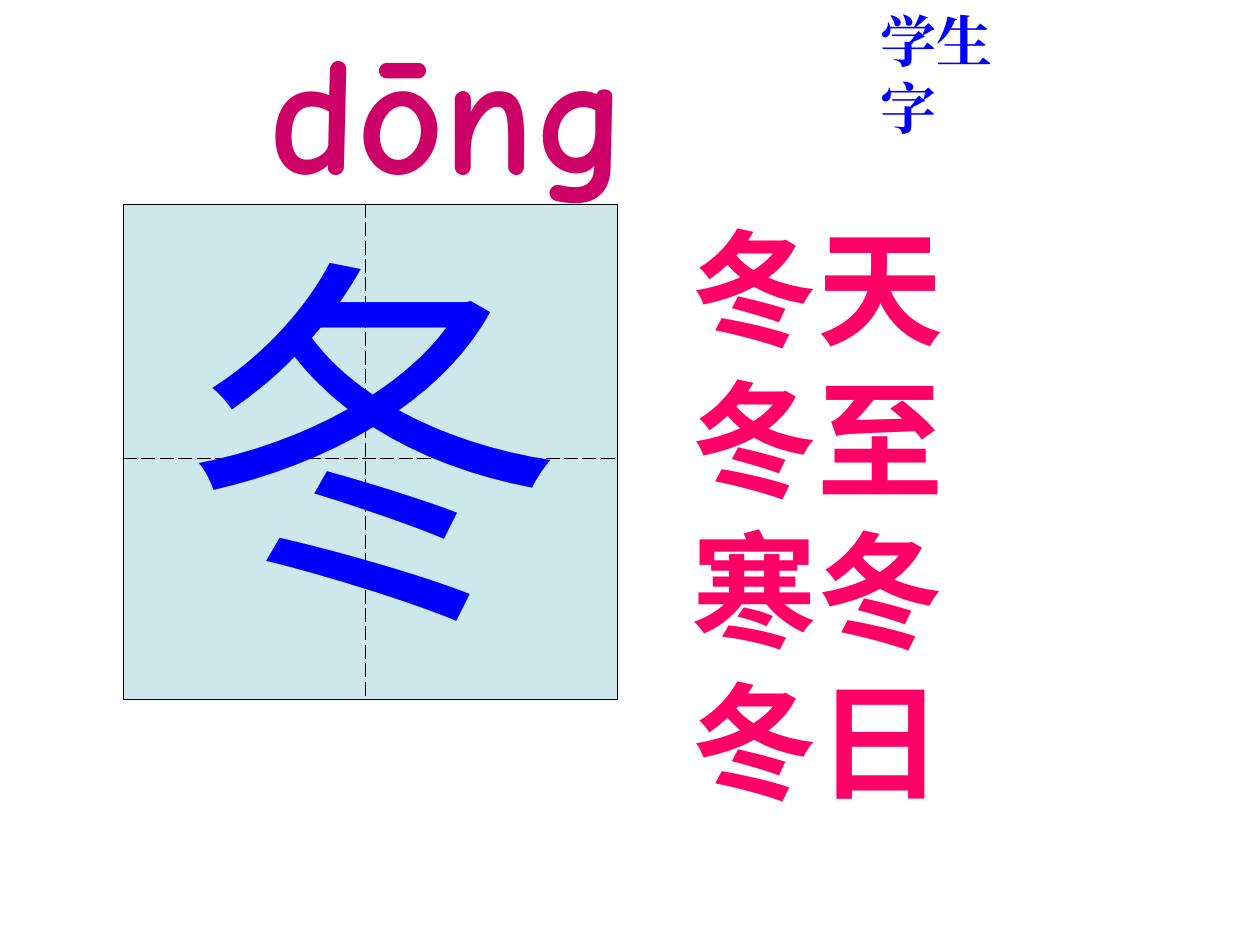
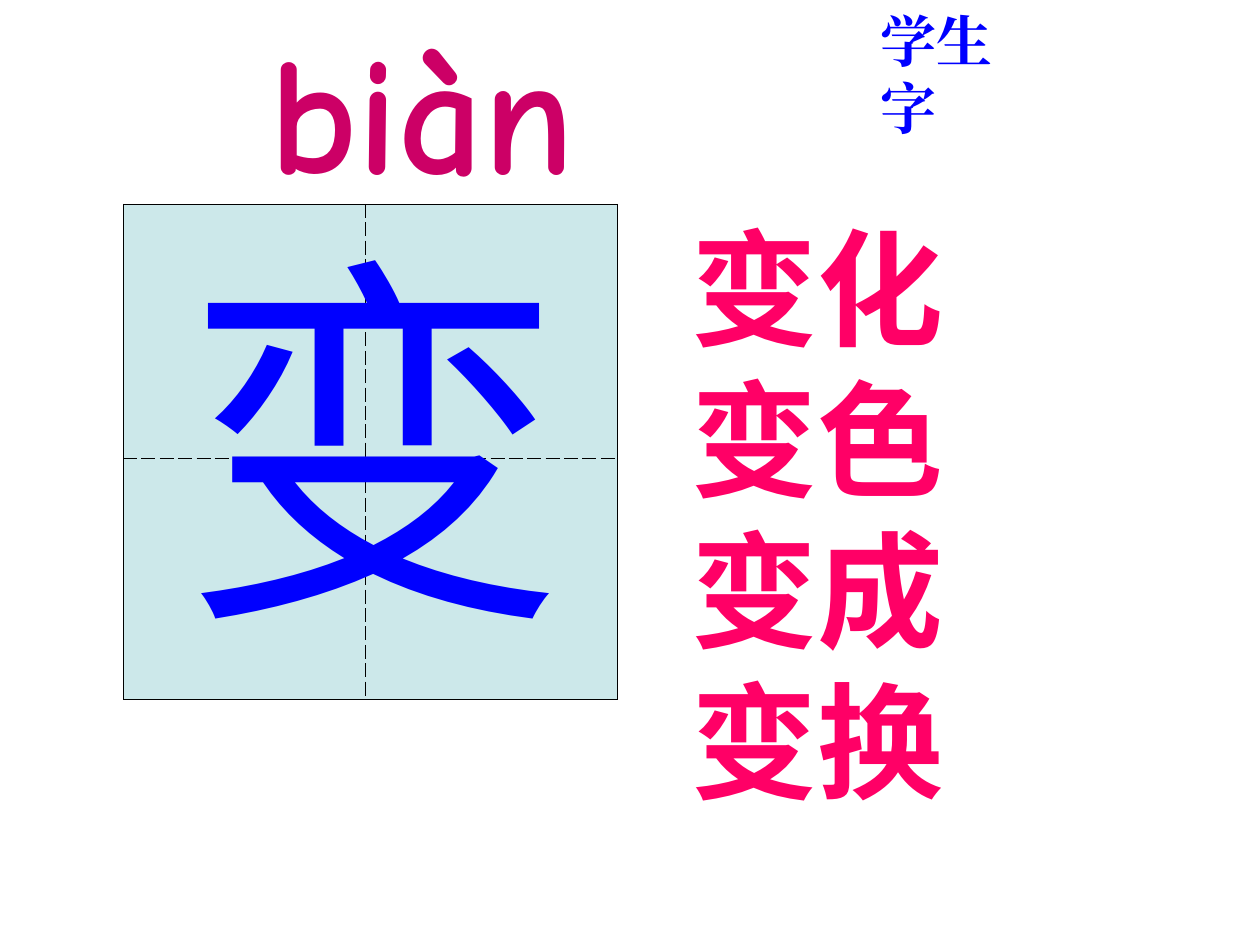
from itertools import product
from lxml.etree import SubElement
from pptx import Presentation
from pptx.dml.color import RGBColor
from pptx.enum.text import MSO_AUTO_SIZE
from pptx.oxml import parse_xml
from pptx.oxml.ns import nsdecls, qn
from pptx.util import Inches, Pt

HEAD = "学生字"
CARDS = [
    ("dōng", "冬", ["冬天", "冬至", "寒冬", "冬日"]),
    ("biàn", "变", ["变化", "变色", "变成", "变换"]),
]
HUES = {"ink": "0000FF", "sound": "CC0066", "word": "FF0066",
        "pane": "CCE8EA", "rule": "000000"}
SIZE = (10, 7.5)
GRID = {"left": 0.98, "top": 1.62, "cols": (1.92, 2), "rows": (2.02, 1.91)}
BOXES = {
    "sound": ((2.04, 0, 3.75, 1.7), True, "sound",
              {"size": Pt(96), "name": "Comic Neue", "bold": True}),
    "glyph": ((1.34, 1.56, 3.25, 3.77), False, "ink",
              {"size": Pt(220), "name": "Arial"}),
    "words": ((5.39, 1.62, 4.25, 4.9), True, "word",
              {"size": Pt(72), "name": "Arial", "bold": True}),
    "head": ((6.89, 0, 1.53, 0.64), False, "ink",
             {"size": Pt(32), "name": "Times New Roman", "bold": True}),
}


def hue(key):
    """Return a named colour."""
    return RGBColor.from_string(HUES[key])


def edge(side, dash):
    """Return one cell border, dashed when it lies inside the grid."""
    return parse_xml(
        f'<a:{side} {nsdecls("a")} w="{Pt(0.45)}"><a:solidFill>'
        f'<a:srgbClr val="{HUES["rule"]}"/></a:solidFill>'
        f'<a:prstDash val="{"dash" if dash else "solid"}"/></a:{side}>')


def add_grid(slide):
    """Draw the four-pane writing square."""
    cols, rows = GRID["cols"], GRID["rows"]
    spot = (GRID["left"], GRID["top"], sum(cols), sum(rows))
    table = slide.shapes.add_table(
        len(rows), len(cols), *map(Inches, spot)).table
    table.first_row = table.horz_banding = False
    for col, wide in zip(table.columns, cols):
        col.width = Inches(wide)
    for row, high in zip(table.rows, rows):
        row.height = Inches(high)
    for r, c in product(range(len(rows)), range(len(cols))):
        cell = table.cell(r, c)
        cell.fill.solid()
        cell.fill.fore_color.rgb = hue("pane")
        sides = {"lnL": c > 0, "lnR": c < len(cols) - 1,
                 "lnT": r > 0, "lnB": r < len(rows) - 1}
        props = cell._tc.get_or_add_tcPr()
        for i, (side, dash) in enumerate(sides.items()):
            props.insert(i, edge(side, dash))


def add_text(slide, kind, lines):
    """Add a text box with one paragraph a line."""
    spot, wrap, tint, form = BOXES[kind]
    frame = slide.shapes.add_textbox(*map(Inches, spot)).text_frame
    frame.word_wrap = wrap
    frame.auto_size = MSO_AUTO_SIZE.SHAPE_TO_FIT_TEXT
    frame.text = "\n".join(lines)
    for para in frame.paragraphs:
        run = para.runs[0]
        for key, val in form.items():
            setattr(run.font, key, val)
        run.font.color.rgb = hue(tint)
        SubElement(run._r.get_or_add_rPr(), qn("a:ea"), typeface=form["name"])


def main():
    """Build one slide a character."""
    deck = Presentation()
    deck.slide_width, deck.slide_height = map(Inches, SIZE)
    for sound, glyph, words in CARDS:
        slide = deck.slides.add_slide(deck.slide_layouts[6])
        add_grid(slide)
        add_text(slide, "sound", [sound])
        add_text(slide, "glyph", [glyph])
        add_text(slide, "words", words)
        add_text(slide, "head", [HEAD])
    deck.save("out.pptx")


if __name__ == "__main__":
    main()
